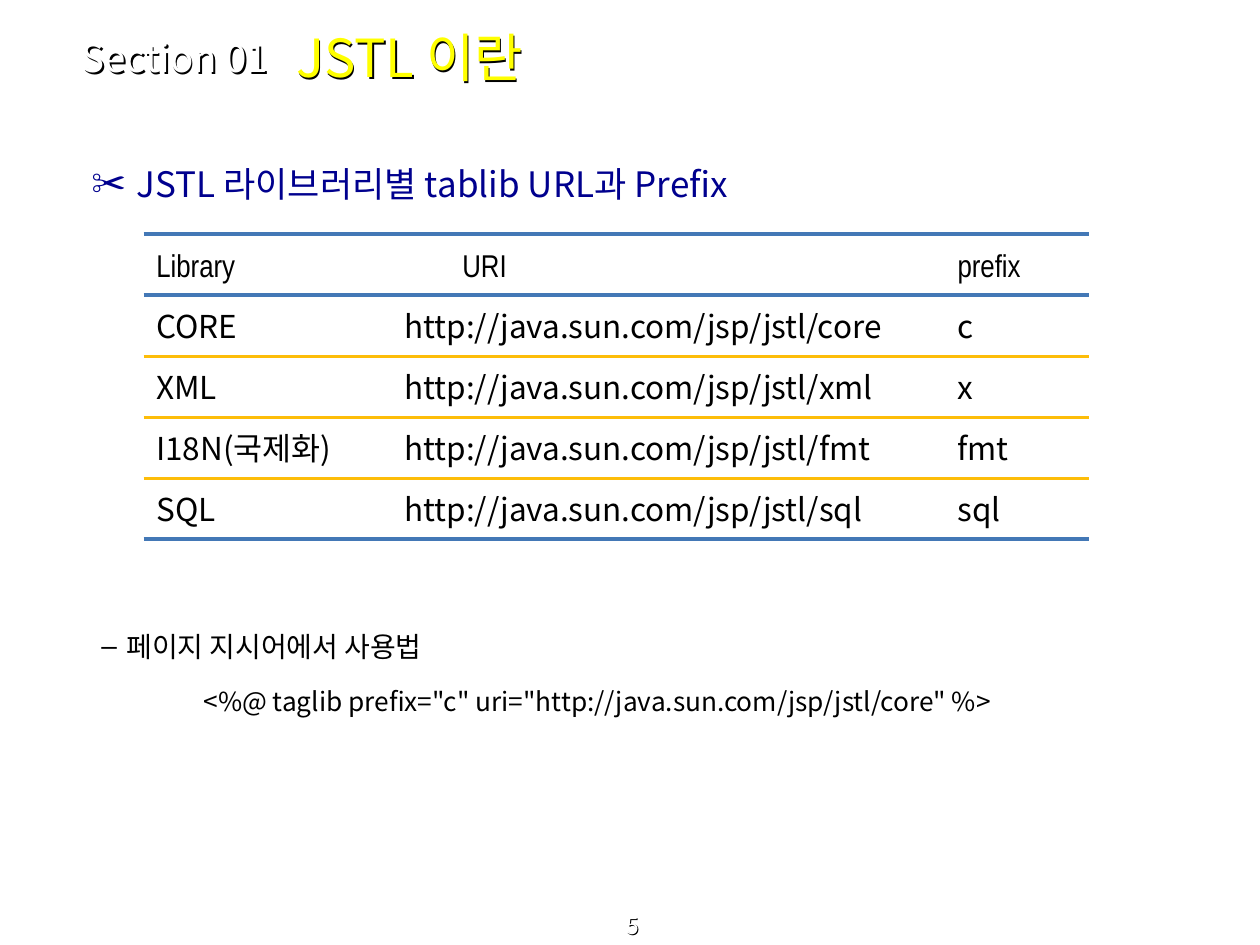
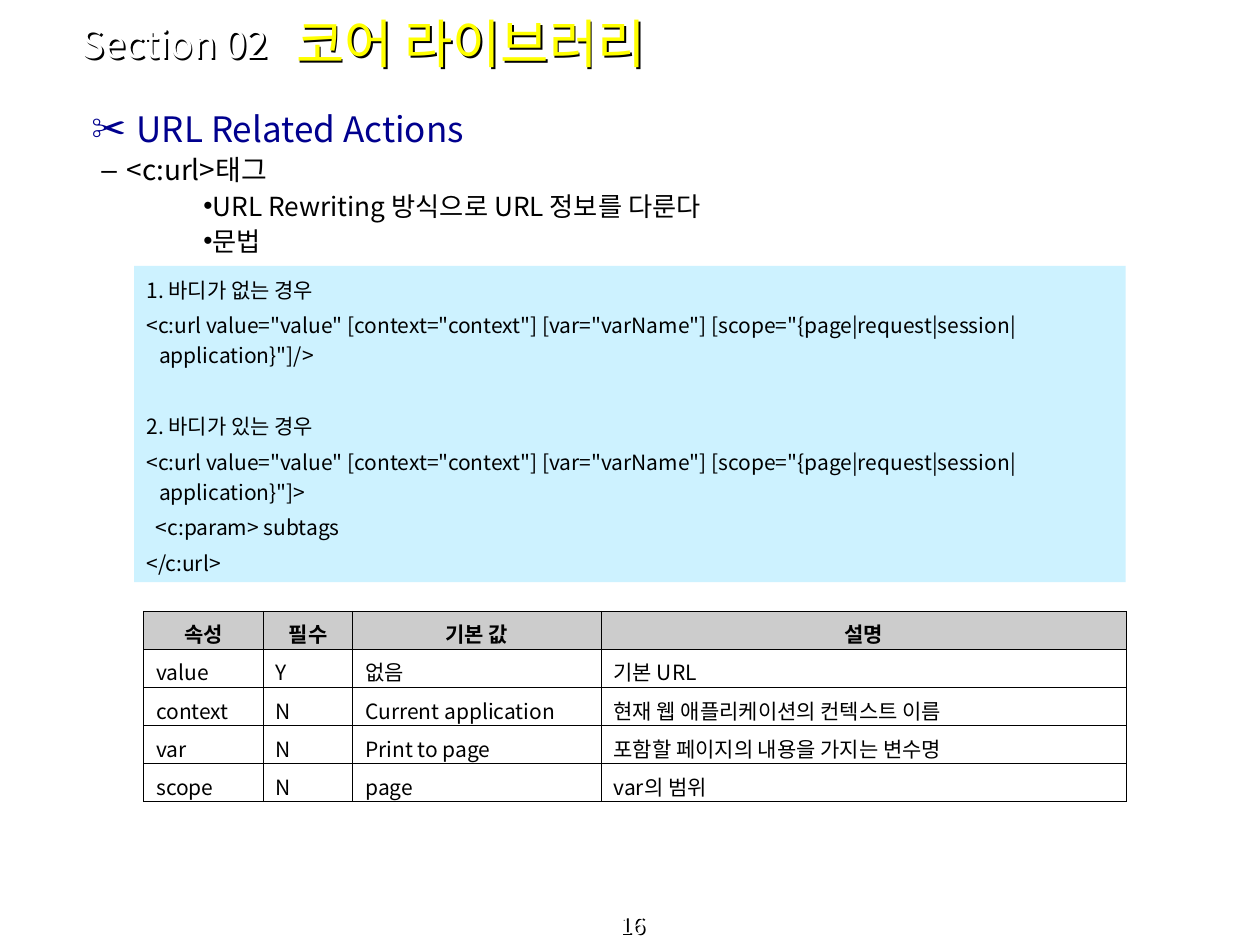
from dataclasses import dataclass

from lxml.etree import SubElement
from pptx import Presentation
from pptx.dml.color import RGBColor
from pptx.enum.shapes import MSO_CONNECTOR as Connector, MSO_SHAPE as Shape
from pptx.enum.text import MSO_ANCHOR as Anchor, MSO_AUTO_SIZE as AutoSize, PP_ALIGN as Align
from pptx.oxml.ns import qn
from pptx.util import Emu, Inches, Pt


@dataclass(frozen=True)
class Theme:
    font: str = "Noto Sans CJK KR"
    narrow: str = "Arial Narrow"
    black: str = "000000"
    white: str = "FFFFFF"
    yellow: str = "FFFF00"
    navy: str = "00008E"
    blue: str = "4378B6"
    gold: str = "FDBD09"
    pale: str = "CDF2FF"
    grey: str = "CCCCCC"
    title: float = 30
    section: float = 22
    heading: float = 20
    library: float = 18
    item: float = 16
    detail: float = 15
    number: float = 13
    small: float = 12


THEME = Theme()
COLUMNS, ROWS = 100, 75  # slide grid
CELL = Inches(0.1)


@dataclass(frozen=True)
class Box:
    """A region in grid columns and rows."""
    left: float
    top: float
    width: float
    height: float

    def within(self, left, top, width, height):
        return Box(self.left + left, self.top + top, width, height)

    def emu(self):
        return [Emu(round(n * CELL)) for n in (self.left, self.top, self.width, self.height)]


@dataclass(frozen=True)
class Level:
    """Paragraph style of one outline level; margins in inches."""
    size: float
    color: str
    margin: float
    indent: float
    bullet: str = ""


HEADING = Level(THEME.heading, THEME.navy, 0.47, -0.36, "✂")
ITEM = Level(THEME.item, THEME.black, 0.39, -0.2, "–")
POINT = Level(THEME.detail, THEME.black, 0.59, 0.41, "•")
DETAIL = Level(THEME.detail, THEME.black, 0.59, 0.41)
CODE = Level(THEME.small, THEME.black, 0.1, -0.1)
OUTLINE = [HEADING, ITEM, POINT]


# Text helpers
def set_font(paragraph, size, color=THEME.black, name=THEME.font, bold=False):
    font = paragraph.font
    font.size, font.bold, font.name = Pt(size), bold, name
    font.color.rgb = RGBColor.from_string(color)
    SubElement(font._element, qn("a:ea"), typeface=name)


def add_text_shadow(shape):
    """Shadow of an unfilled shape, which falls from its letters."""
    shape.fill.background()
    shape.line.fill.background()
    effects = SubElement(shape._element.spPr, qn("a:effectLst"))
    shadow = SubElement(effects, qn("a:outerShdw"), dist="17961", dir="2700000")
    SubElement(shadow, qn("a:srgbClr"), val=THEME.black)


def set_level(paragraph, level):
    properties = paragraph._p.get_or_add_pPr()
    properties.set("marL", str(Inches(level.margin)))
    properties.set("indent", str(Inches(level.indent)))
    if level.bullet:
        color = SubElement(properties, qn("a:buClr"))
        SubElement(color, qn("a:srgbClr"), val=level.color)
        SubElement(properties, qn("a:buChar"), char=level.bullet)
    else:
        SubElement(properties, qn("a:buNone"))
    set_font(paragraph, level.size, level.color)


def write_lines(frame, lines):
    """Write (text, level, line height, space before) lines."""
    frame.word_wrap = True
    frame.auto_size = AutoSize.NONE
    frame.vertical_anchor = Anchor.TOP
    for number, (text, level, height, before) in enumerate(lines):
        paragraph = frame.add_paragraph() if number else frame.paragraphs[0]
        paragraph.text = text
        paragraph.level = OUTLINE.index(level) if level in OUTLINE else 2 * (level is DETAIL)
        paragraph.alignment = Align.LEFT
        paragraph.line_spacing = Pt(height)
        paragraph.space_before = Pt(before)
        set_level(paragraph, level)


def write_label(shape, text, size, color, anchor=Anchor.MIDDLE, align=Align.LEFT):
    frame = shape.text_frame
    frame.word_wrap = True
    frame.auto_size = AutoSize.NONE
    frame.vertical_anchor = anchor
    frame.text = text
    paragraph = frame.paragraphs[0]
    paragraph.alignment = align
    set_font(paragraph, size, color)
    add_text_shadow(shape)


def place(shape, box):
    shape.left, shape.top, shape.width, shape.height = box.emu()


# Regions shared by the slides
def add_header(slide, box, section, title):
    label = slide.shapes.add_textbox(*box.within(0, 1.6, 19.3, 3.7).emu())
    write_label(label, section, THEME.section, THEME.white)
    place(slide.shapes.title, box.within(17, 0, 64, 6.8))
    write_label(slide.shapes.title, title, THEME.title, THEME.yellow)


def add_page_number(slide, box, number):
    label = slide.shapes.add_textbox(*box.emu())
    write_label(label, number, THEME.number, THEME.white, Anchor.BOTTOM, Align.CENTER)


def add_body(slide, box, lines):
    body = slide.placeholders[1]
    place(body, box)
    write_lines(body.text_frame, lines)


def start_slide(presentation, section, title, number, header_top):
    slide = presentation.slides.add_slide(presentation.slide_layouts[1])
    add_header(slide, Box(5.5, header_top, COLUMNS - 13.5, 6.8), section, title)
    add_page_number(slide, Box(0.4, ROWS - 2.2, COLUMNS - 0.4, 2.2), number)
    return slide


# Tables
def set_border(cell, side, color=None, width=0):
    line = SubElement(cell._tc.get_or_add_tcPr(), qn(f"a:ln{side}"), w=str(Pt(width)))
    if color:
        fill = SubElement(line, qn("a:solidFill"))
        SubElement(fill, qn("a:srgbClr"), val=color)
    else:
        SubElement(line, qn("a:noFill"))


def add_plain_table(slide, box, widths, rows):
    """Add an unstyled table; widths are grid columns."""
    table = slide.shapes.add_table(len(rows), len(widths), *box.emu()).table
    table.first_row = table.horz_banding = False
    for column, width in zip(table.columns, widths):
        column.width = Emu(round(width * CELL))
    for r, texts in enumerate(rows):
        for c, text in enumerate(texts):
            cell = table.cell(r, c)
            cell.text = text
            cell.vertical_anchor = Anchor.MIDDLE
    return table


def each_cell(table):
    for r, row in enumerate(table.rows):
        for c, cell in enumerate(row.cells):
            yield r, c, cell, cell.text_frame.paragraphs[0]


def add_rule(slide, box, color, width):
    left, top, length, _ = box.emu()
    rule = slide.shapes.add_connector(Connector.STRAIGHT, left, top, left + length, top)
    rule.line.color.rgb = RGBColor.from_string(color)
    rule.line.width = Pt(width)
    SubElement(rule._element.spPr, qn("a:effectLst"))


def add_library_table(slide, box, rows):
    table = add_plain_table(slide, box, [19.7, 43.9, box.width - 63.6], rows)
    for r, _, cell, paragraph in each_cell(table):
        for side in "LRTB":
            set_border(cell, side)
        cell.fill.background()
        cell.margin_top = Inches(0.03 if r else 0.13)
        set_font(paragraph, THEME.library, name=THEME.font if r else THEME.narrow)
    table.cell(0, 1).margin_left = Inches(0.56)
    # Rules: strong around the header and at the foot, light between rows
    for edge in range(len(rows) + 1):
        strong = edge in (0, 1, len(rows))
        line = box.within(0, edge * box.height / len(rows), box.width, 0)
        add_rule(slide, line, *((THEME.blue, 2.25) if strong else (THEME.gold, 1.5)))


def add_attribute_table(slide, box, rows):
    table = add_plain_table(slide, box, [9.5, 7.1, 19.7, box.width - 36.3], rows)
    for r, _, cell, paragraph in each_cell(table):
        for side in "LRTB":
            set_border(cell, side, THEME.black, 0.45)
        if r:
            cell.fill.background()
        else:
            cell.fill.solid()
            cell.fill.fore_color.rgb = RGBColor.from_string(THEME.grey)
        cell.margin_top, cell.margin_bottom = Inches(0.1), 0
        paragraph.alignment = Align.LEFT if r else Align.CENTER
        paragraph.line_spacing = Pt(14.4)
        set_font(paragraph, THEME.small, bold=not r)


# Syntax panel
def add_syntax_panel(slide, box, cases):
    panel = slide.shapes.add_shape(Shape.RECTANGLE, *box.emu())
    panel.shadow.inherit = False
    panel.fill.solid()
    panel.fill.fore_color.rgb = RGBColor.from_string(THEME.pale)
    panel.line.fill.background()
    lines = []
    for number, case in enumerate(cases):
        for row, text in enumerate(case):
            before = 3 if row else 23.2 * number
            lines.append((text, CODE, 17.3, before))
    write_lines(panel.text_frame, lines)


# Slides
def add_library_slide(presentation):
    slide = start_slide(presentation, "Section 01", "JSTL 이란", "5", 1.1)
    body = Box(5.15, 10.7, 90, 49.5)
    add_body(slide, body, [
        ("JSTL 라이브러리별 tablib URL과 Prefix", HEADING, 36, 0),
        ("페이지 지시어에서 사용법", ITEM, 29, 233),
        ('<%@ taglib prefix="c" uri="http://java.sun.com/jsp/jstl/core" %>', DETAIL, 27.2, 3.7),
    ])
    libraries = [("CORE", "core", "c"), ("XML", "xml", "x"),
                 ("I18N(국제화)", "fmt", "fmt"), ("SQL", "sql", "sql")]
    rows = [("Library", "URI", "prefix")]
    rows += [(name, f"http://java.sun.com/jsp/jstl/{end}", prefix)
             for name, end, prefix in libraries]
    add_library_table(slide, body.within(6.25, 7.9, 75, 24.2), rows)


def add_url_slide(presentation):
    slide = start_slide(presentation, "Section 02", "코어 라이브러리", "16", 0)
    body = Box(5.15, 8.35, 90, 49.5)
    add_body(slide, body, [
        ("URL Related Actions", HEADING, 21.6, 0),
        ("<c:url>태그", ITEM, 17.3, 4),
        ("URL Rewriting 방식으로 URL 정보를 다룬다", POINT, 16.3, 3.7),
        ("문법", POINT, 16.3, 3.7),
    ])
    tag = ('<c:url value="value" [context="context"] [var="varName"] '
           '[scope="{page|request|session|application}"]')
    add_syntax_panel(slide, body.within(5.5, 12.75, 78.7, 25.1), [
        ["1. 바디가 없는 경우", tag + "/>"],
        ["2. 바디가 있는 경우", tag + ">", "  <c:param> subtags", "</c:url>"],
    ])
    add_attribute_table(slide, body.within(6.25, 40.15, 78, 15.1), [
        ("속성", "필수", "기본 값", "설명"),
        ("value", "Y", "없음", "기본 URL"),
        ("context", "N", "Current application", "현재 웹 애플리케이션의 컨텍스트 이름"),
        ("var", "N", "Print to page", "포함할 페이지의 내용을 가지는 변수명"),
        ("scope", "N", "page", "var의 범위"),
    ])


def main():
    presentation = Presentation()
    presentation.slide_width, presentation.slide_height = COLUMNS * CELL, ROWS * CELL
    add_library_slide(presentation)
    add_url_slide(presentation)
    presentation.save("out.pptx")


if __name__ == "__main__":
    main()
